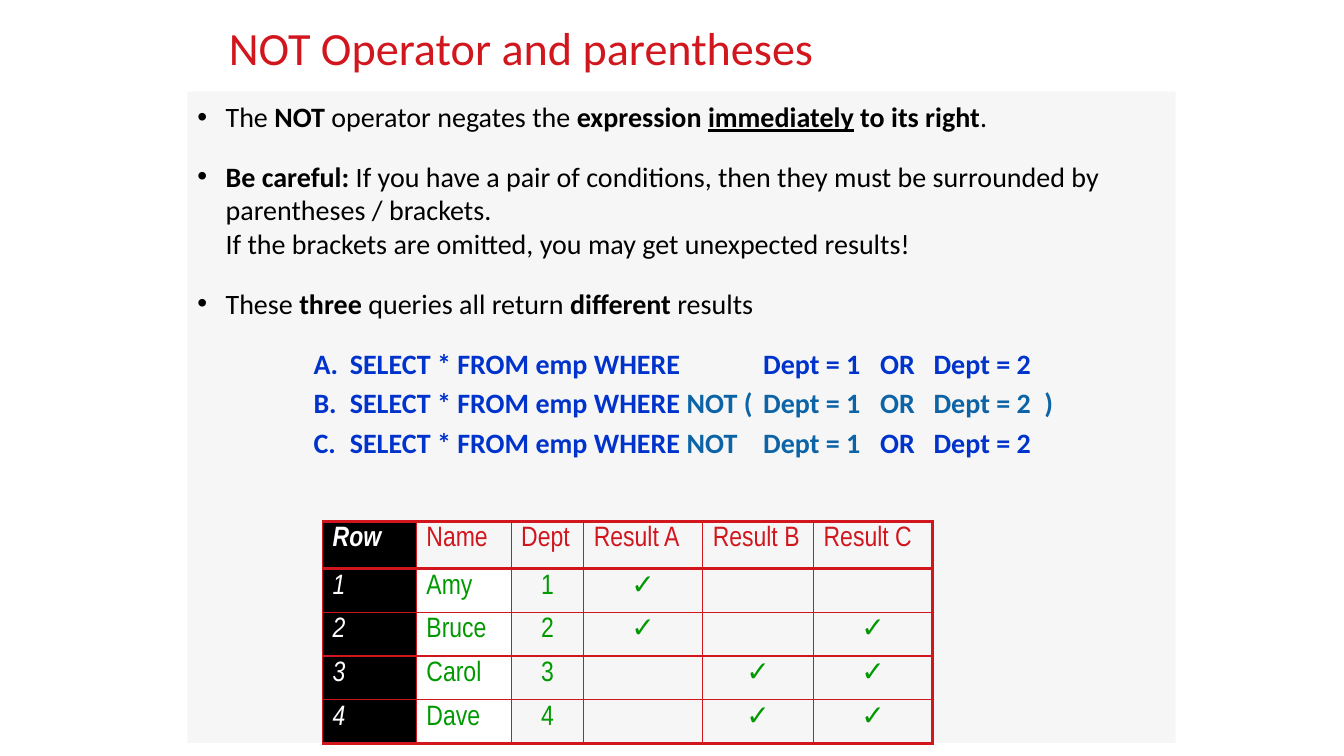
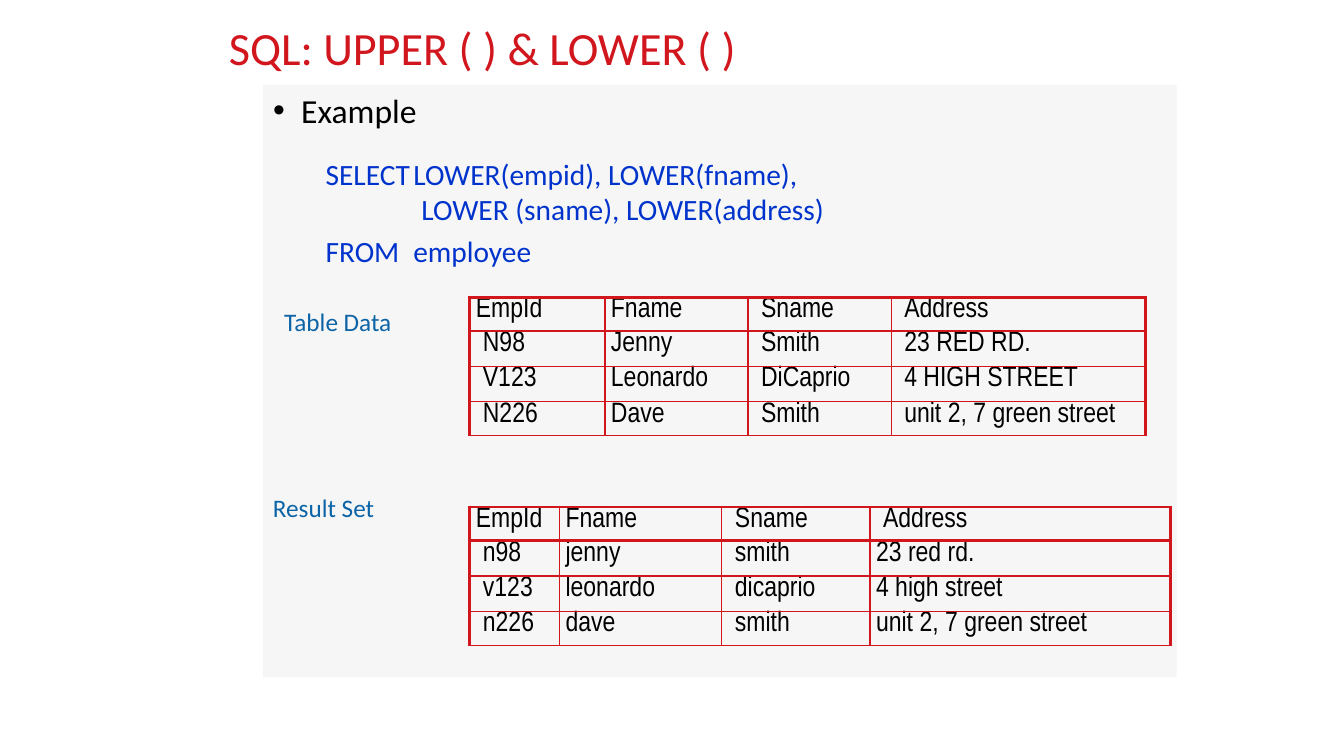
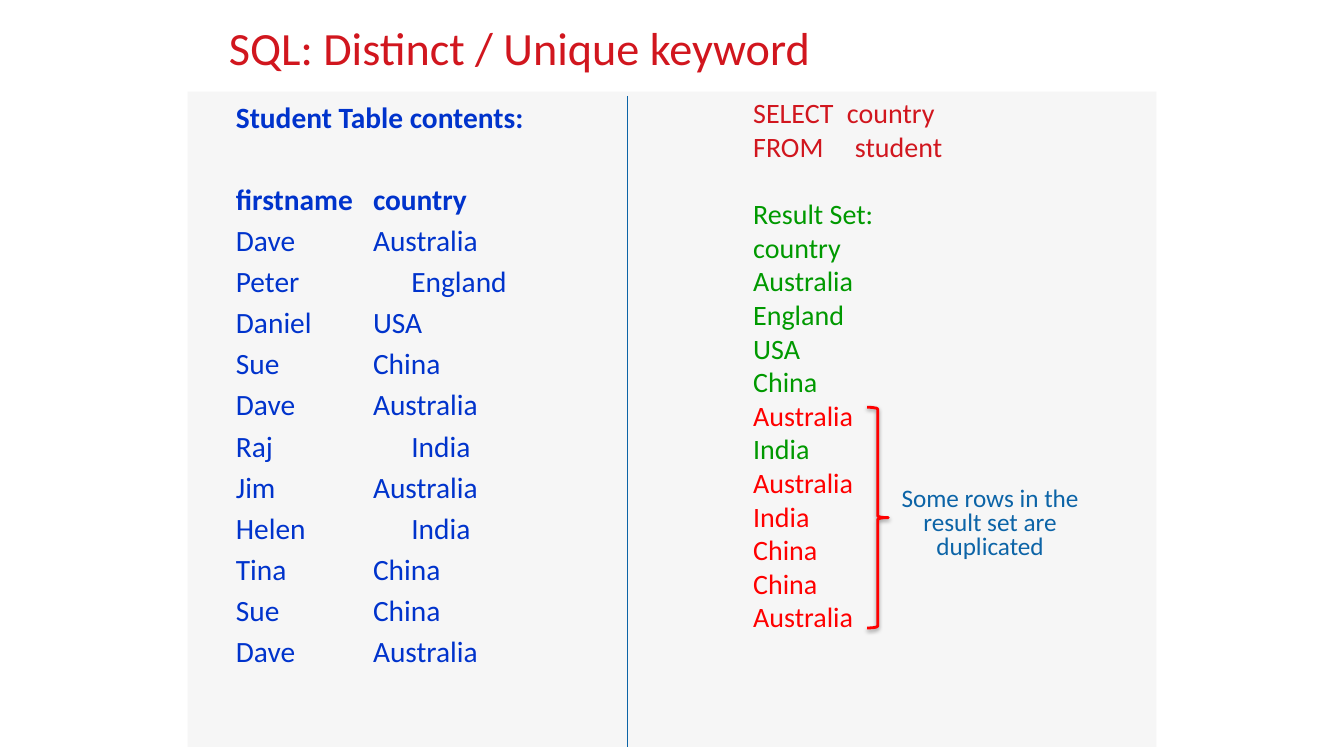
from itertools import product

from lxml import etree
from pptx import Presentation
from pptx.dml.color import RGBColor
from pptx.enum import shapes as kinds
from pptx.enum import text as texts
from pptx.oxml import ns, parse_xml
from pptx.util import Inches, Pt

RED = RGBColor(0xD1, 0x16, 0x1E)
ALERT = RGBColor(0xFF, 0x00, 0x00)
BLUE = RGBColor(0x00, 0x33, 0xCC)
STEEL = RGBColor(0x0C, 0x64, 0xA7)
GREEN = RGBColor(0x00, 0x99, 0x00)
BLACK = RGBColor(0x00, 0x00, 0x00)
WHITE = RGBColor(0xFF, 0xFF, 0xFF)
PANEL = RGBColor(0xF6, 0xF6, 0xF6)

BODY_FONT, TABLE_FONT = "Calibri", "Arial Narrow"
LEFT, CENTER = texts.PP_ALIGN.LEFT, texts.PP_ALIGN.CENTER
BOLD = {"bold": True}
TINT = {"color": STEEL}

NOT_POINTS = [
    ["The ", ("NOT", BOLD), " operator negates the ", ("expression ", BOLD),
     ("immediately", {"bold": True, "underline": True}), (" to its right", BOLD), "."],
    [("Be careful:", BOLD),
     " If you have a pair of conditions, then they must be surrounded by "
     "parentheses / brackets.\nIf the brackets are omitted, you may get unexpected results!"],
    ["These ", ("three", BOLD), " queries all return ", ("different", BOLD), " results"],
]
NOT_QUERIES = [
    ["A.\tSELECT * FROM emp WHERE\tDept = 1\tOR\tDept = 2"],
    ["B.\tSELECT * FROM emp WHERE ", ("NOT (\tDept = 1\tOR\tDept = 2\t)", TINT)],
    ["C.\tSELECT * FROM emp WHERE ", ("NOT\tDept = 1", TINT), "\tOR\tDept = 2"],
]
NOT_TABLE = [
    ["Row", "Name", "Dept", "Result A", "Result B", "Result C"],
    ["1", "Amy", "1", "✓", "", ""],
    ["2", "Bruce", "2", "✓", "", "✓"],
    ["3", "Carol", "3", "", "✓", "✓"],
    ["4", "Dave", "4", "", "✓", "✓"],
]
LOWER_QUERY = [
    "SELECT\tLOWER(empid), LOWER(fname),\n\t\tLOWER (sname), LOWER(address)",
    "FROM\temployee",
]
EMPLOYEE_HEAD = ["EmpId", "Fname", "Sname", "Address"]
EMPLOYEES = [
    ["N98", "Jenny", "Smith", "23 RED RD."],
    ["V123", "Leonardo", "DiCaprio", "4 HIGH STREET"],
    ["N226", "Dave", "Smith", "unit 2, 7 green street"],
]
EMPLOYEE_TABLES = [
    {"label": "Table Data", "label_at": (2.17, 3.1), "top": 2.95, "rows": EMPLOYEES,
     "widths": [1.34, 1.42, 1.42, 2.52], "pads": [0.13, 0.06, 0.13, 0.13]},
    {"label": "Result Set", "label_at": (2.03, 4.94), "top": 5.03,
     "rows": [[value.lower() for value in row] for row in EMPLOYEES],
     "widths": [0.89, 1.61, 1.47, 2.98], "pads": [0.13, 0.06, 0.13, 0.06]},
]
EMPLOYEE_HEAD_PADS = [0.06, 0.06, 0.13, 0.13]
STUDENTS = [
    "Dave\tAustralia", "Peter\t\tEngland", "Daniel\tUSA", "Sue\tChina",
    "Dave\tAustralia", "Raj\t\tIndia", "Jim\tAustralia", "Helen\t\tIndia",
    "Tina\tChina", "Sue\tChina", "Dave\tAustralia",
]
COUNTRY_QUERY = ["SELECT\tcountry", "FROM\t\tstudent"]
COUNTRIES = [
    ("country", GREEN), ("Australia", GREEN), ("England", GREEN), ("USA", GREEN),
    ("China", GREEN), ("Australia", ALERT), ("India", GREEN), ("Australia", ALERT),
    ("India", ALERT), ("China", ALERT), ("China", ALERT), ("Australia", ALERT),
]
BRACE_SHADOW = (
    '<a:effectLst xmlns:a="http://schemas.openxmlformats.org/drawingml/2006/main">'
    '<a:outerShdw blurRad="39400" dist="20300" dir="5400000" rotWithShape="0">'
    '<a:srgbClr val="000000"><a:alpha val="38000"/></a:srgbClr>'
    '</a:outerShdw></a:effectLst>'
)


def write(frame, runs, size=20, color=BLACK, font=BODY_FONT, bold=False, italic=False,
          before=0, spacing=None, align=LEFT, bullet=False, tabs=()):
    line = frame.paragraphs[0]
    if line.runs:
        line = frame.add_paragraph()
    props = line._p.get_or_add_pPr()
    if bullet:
        props.set("marL", str(Inches(0.28)))
        props.set("indent", str(-Inches(0.28)))
        etree.SubElement(props, ns.qn("a:buFont"), typeface="Arial")
        etree.SubElement(props, ns.qn("a:buChar"), char="•")
    if tabs:
        stops = etree.SubElement(props, ns.qn("a:tabLst"))
        for stop in tabs:
            etree.SubElement(stops, ns.qn("a:tab"), pos=str(Inches(stop)), algn="l")
    line.alignment = align
    line.space_before = Pt(before)
    if spacing:
        line.line_spacing = spacing
    for item in [runs] if isinstance(runs, str) else runs:
        words, special = (item, {}) if isinstance(item, str) else item
        for index, part in enumerate(words.split("\n")):
            if index:
                line.add_line_break()
            run = line.add_run()
            run.text = part
            run.font.name, run.font.size = font, Pt(size)
            run.font.bold = special.get("bold", bold)
            run.font.italic = italic
            run.font.underline = special.get("underline", False)
            run.font.color.rgb = special.get("color", color)


def prepare(shape, insets):
    frame = shape.text_frame
    frame.word_wrap = True
    frame.vertical_anchor = texts.MSO_ANCHOR.TOP
    frame.margin_left, frame.margin_top, frame.margin_right, frame.margin_bottom = map(Inches, insets)
    return frame


def add_text(slide, left, top, width, height):
    box = slide.shapes.add_textbox(*map(Inches, (left, top, width, height)))
    return prepare(box, (0, 0, 0, 0))


def add_panel(slide, left, top, width, height, insets):
    panel = slide.shapes.add_shape(
        kinds.MSO_SHAPE.RECTANGLE, *map(Inches, (left, top, width, height)))
    panel.shadow.inherit = False
    panel.fill.solid()
    panel.fill.fore_color.rgb = PANEL
    panel.line.fill.background()
    return prepare(panel, insets)


def add_label(slide, words, left, top, width=2.36, height=0.25):
    write(add_text(slide, left, top, width, height), words, size=18, color=STEEL,
          spacing=0.8, align=CENTER)


def start_slide(deck, title):
    slide = deck.slides.add_slide(deck.slide_layouts[6])
    write(add_text(slide, 2.27, 0.19, 8.8, 0.6), title, size=33, color=RED)
    return slide


def set_edges(cell, widths):
    props = cell._tc.get_or_add_tcPr()
    for index, (side, width) in enumerate(zip("LRTB", widths)):
        edge = etree.Element(ns.qn(f"a:ln{side}"), w=str(Pt(width)))
        fill = etree.SubElement(edge, ns.qn("a:solidFill"))
        etree.SubElement(fill, ns.qn("a:srgbClr"), val=str(RED))
        props.insert(index, edge)


def add_grid(slide, left, top, rows, widths, heights, style, edges, head_edge):
    first, last_right, first_top, last_bottom = edges
    size = len(rows), len(widths)
    grid = slide.shapes.add_table(
        *size, *map(Inches, (left, top, sum(widths), sum(heights)))).table
    grid.first_row = grid.horz_banding = False
    for column, width in zip(grid.columns, widths):
        column.width = Inches(width)
    for row, height in zip(grid.rows, heights):
        row.height = Inches(height)
    for r, c in product(*map(range, size)):
        cell = grid.cell(r, c)
        fill, margins, form = style(r, c)
        if fill is None:
            cell.fill.background()
        else:
            cell.fill.solid()
            cell.fill.fore_color.rgb = fill
        cell.margin_left, cell.margin_top, cell.margin_right, cell.margin_bottom = map(Inches, margins)
        if rows[r][c]:
            write(cell.text_frame, rows[r][c], font=TABLE_FONT, **form)
        else:
            end = etree.SubElement(cell.text_frame.paragraphs[0]._p, ns.qn("a:endParaRPr"), sz="2000")
            etree.SubElement(end, ns.qn("a:latin"), typeface=TABLE_FONT)
        set_edges(cell, (
            first if c == 0 else 1,
            last_right if c == size[1] - 1 else 1,
            first_top if r == 0 else head_edge if r == 1 else 1,
            head_edge if r == 0 else last_bottom if r == size[0] - 1 else 1,
        ))


def not_style(r, c):
    fill = BLACK if c == 0 else WHITE if c == 1 and r else None
    form = {
        "color": WHITE if c == 0 else GREEN if r else RED,
        "italic": c == 0,
        "bold": (r == 0 and c == 0) or (r > 0 and c > 2),
        "align": CENTER if r and c > 1 else LEFT,
    }
    return fill, (0.1, 0.05, 0.1, 0.05), form


def build_not(deck):
    slide = start_slide(deck, "NOT Operator and parentheses")
    points = add_panel(slide, 1.86, 0.91, 9.8, 6.46, (0.1, 0.08, 0.1, 0.05))
    for index, point in enumerate(NOT_POINTS):
        write(points, point, bullet=True, before=18.5 if index else 0)
    queries = add_text(slide, 3.11, 3.44, 8, 1.2)
    for index, query in enumerate(NOT_QUERIES):
        write(queries, query, color=BLUE, bold=True, before=4 if index else 0,
              tabs=(0.36, 4.46, 5.62, 6.15, 7.25))
    add_grid(slide, 3.2, 5.17, NOT_TABLE, [0.93, 0.94, 0.72, 1.18, 1.1, 1.18],
             [0.47, 0.43, 0.36, 0.43, 0.37], not_style, (1, 2.25, 2.25, 2.25), 3)


def build_lower(deck):
    slide = start_slide(deck, "SQL: UPPER ( ) & LOWER ( )")
    example = add_panel(slide, 2.61, 0.84, 9.06, 5.88, (0.1, 0.05, 0.1, 0.05))
    write(example, "Example", size=24, bullet=True)
    query = add_text(slide, 3.23, 1.55, 7, 1.15)
    for index, line in enumerate(LOWER_QUERY):
        write(query, line, size=21, color=BLUE, before=4.2 if index else 0, tabs=(0.87, 0.95))
    for part in EMPLOYEE_TABLES:
        def style(r, c):
            pads = part["pads"] if r else EMPLOYEE_HEAD_PADS
            return None, (pads[c], 0, 0, 0), {}

        add_label(slide, part["label"], *part["label_at"])
        add_grid(slide, 4.66, part["top"], [EMPLOYEE_HEAD] + part["rows"], part["widths"],
                 [0.31, 0.35, 0.35, 0.34], style, (2.25, 2.25, 2.25, 1), 2.25)


def build_distinct(deck):
    slide = start_slide(deck, "SQL: Distinct / Unique keyword")
    students = add_panel(slide, 1.86, 0.91, 9.61, 6.5, (0.48, 0.07, 0.1, 0.05))
    stops = (1.36, 1.74)
    write(students, "Student Table contents:", size=21, color=BLUE, bold=True)
    write(students, "firstname\tcountry", size=21, color=BLUE, bold=True, before=33.4, tabs=stops)
    for student in STUDENTS:
        write(students, student, size=21, color=BLUE, before=4.2, tabs=stops)

    results = add_text(slide, 7.47, 0.95, 3.7, 5.4)
    for line in COUNTRY_QUERY:
        write(results, line, color=RED, tabs=(0.93, 1.01))
    write(results, "Result Set:", color=GREEN, before=24)
    for country, color in COUNTRIES:
        write(results, country, color=color)
    add_label(slide, "Some rows in the result set are duplicated", 8.72, 4.84, 2.2, 0.73)

    divider = slide.shapes.add_connector(
        kinds.MSO_CONNECTOR.STRAIGHT, *map(Inches, (6.22, 0.95, 6.22, 7.41)))
    divider.line.color.rgb, divider.line.width = STEEL, Pt(0.75)
    etree.SubElement(divider._element.spPr, ns.qn("a:effectLst"))
    brace = slide.shapes.add_shape(
        kinds.MSO_SHAPE.RIGHT_BRACE, *map(Inches, (8.6, 4.04, 0.21, 2.19)))
    brace.fill.background()
    brace.line.color.rgb, brace.line.width = ALERT, Pt(2)
    brace._element.spPr.append(parse_xml(BRACE_SHADOW))


def main():
    deck = Presentation()
    deck.slide_width, deck.slide_height = Inches(13.33), Inches(7.5)
    for build in (build_not, build_lower, build_distinct):
        build(deck)
    deck.save("out.pptx")


if __name__ == "__main__":
    main()
